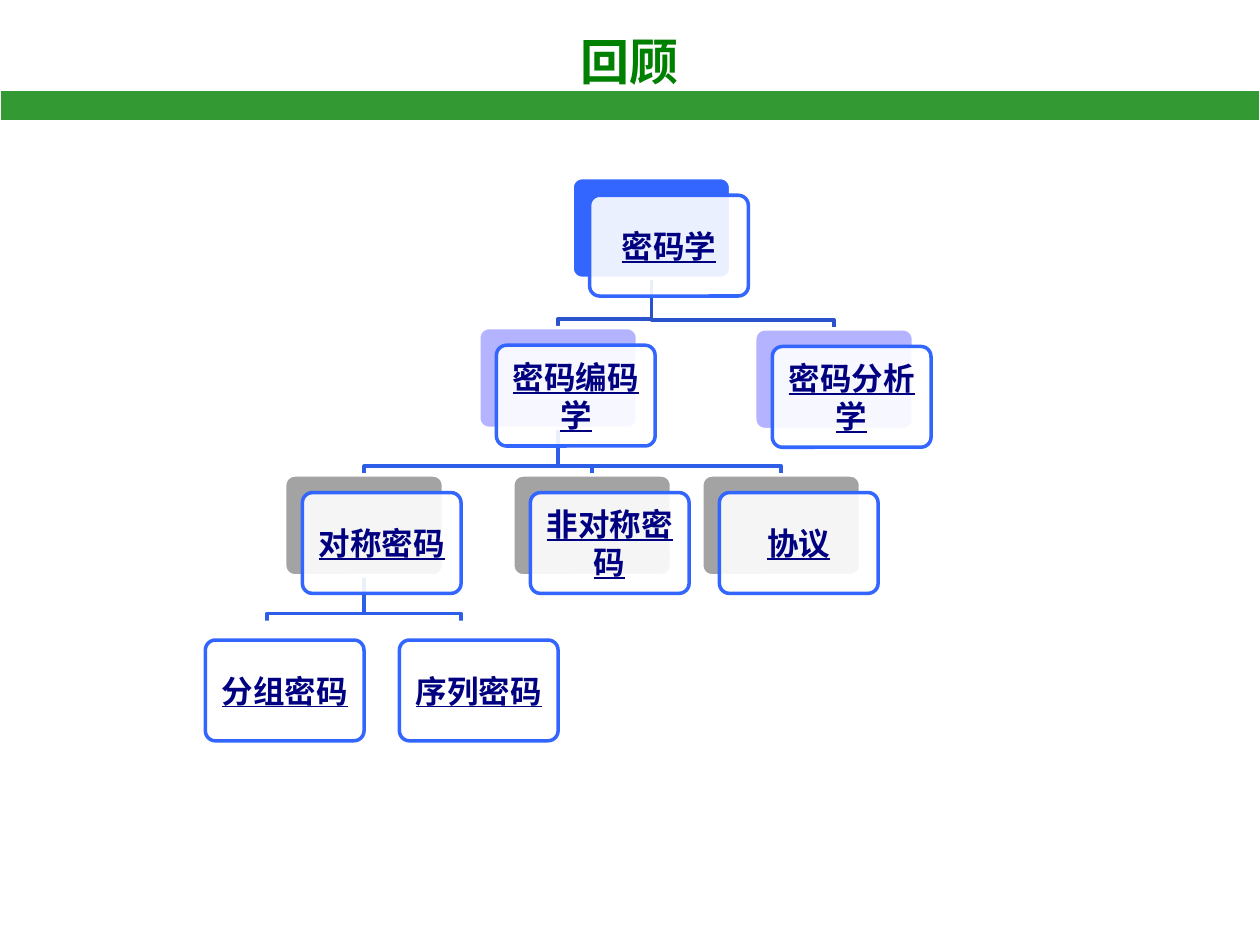
from lxml import etree
from pptx import Presentation
from pptx.dml.color import RGBColor
from pptx.enum.shapes import MSO_SHAPE
from pptx.enum.text import MSO_ANCHOR, PP_ALIGN
from pptx.oxml.ns import qn
from pptx.util import Inches, Pt

RECT = MSO_SHAPE.RECTANGLE
ROUNDED = MSO_SHAPE.ROUNDED_RECTANGLE
MIDDLE = MSO_ANCHOR.MIDDLE
CENTER = PP_ALIGN.CENTER

TITLE = "回顾"
BLUE, LILAC, GRAY, WHITE = "3366FF", "B3B3FF", "A3A3A3", "FFFFFF"
DARK_LINK, LIGHT_LINK = "2952CC", "2E5DE7"
CARD_W, CARD_H, OFFSET, INSET = 1.26, 0.8, 0.14, 0.07
ELBOW_RISE = 0.07

NODES = {
    "密码学": (4.54, 1.41, BLUE),
    "密码编码学": (3.8, 2.6, LILAC),
    "对称密码": (2.26, 3.77, GRAY),
    "分组密码": (1.49, 4.94, None),
    "序列密码": (3.03, 4.94, None),
    "非对称密码": (4.07, 3.77, GRAY),
    "协议": (5.57, 3.77, GRAY),
    "密码分析学": (5.99, 2.61, LILAC),
}
LINKS = [
    ("密码学", "密码编码学", DARK_LINK),
    ("密码编码学", "对称密码", LIGHT_LINK),
    ("对称密码", "分组密码", LIGHT_LINK),
    ("对称密码", "序列密码", LIGHT_LINK),
    ("密码编码学", "非对称密码", LIGHT_LINK),
    ("密码编码学", "协议", LIGHT_LINK),
    ("密码学", "密码分析学", DARK_LINK),
]


def color(value):
    return RGBColor.from_string(value)


def paint(shape, fill, line, width):
    shape.shadow.inherit = False
    if fill:
        shape.fill.solid()
        shape.fill.fore_color.rgb = color(fill)
    else:
        shape.fill.background()
    shape.line.color.rgb = color(line)
    shape.line.width = Pt(width)


def add_box(page, kind, place, fill, line, width):
    box = page.shapes.add_shape(kind, *map(Inches, place))
    paint(box, fill, line, width)
    if kind == ROUNDED:
        box.adjustments[0] = 0.1
    return box


def write(box, text, font, size, ink, underline=False):
    box.text_frame.word_wrap = True
    para = box.text_frame.paragraphs[0]
    para.alignment = CENTER
    span = para.add_run()
    span.text = text
    span.font.name = font
    span.font.size = Pt(size)
    span.font.bold = True
    span.font.underline = underline
    span.font.color.rgb = color(ink)
    latin = span.font._element.find(qn("a:latin"))
    east_asian = etree.Element(qn("a:ea"), typeface=font)
    latin.addnext(east_asian)


def add_link(page, parent, child, ink):
    parent_x, parent_y, _ = NODES[parent]
    child_x, child_y, _ = NODES[child]
    start_x, start_y = parent_x + CARD_W / 2, parent_y + CARD_H
    end_x = child_x + CARD_W / 2
    elbow_y = child_y - ELBOW_RISE
    points = [(start_x, elbow_y), (end_x, elbow_y), (end_x, child_y)]
    builder = page.shapes.build_freeform(Inches(start_x), Inches(start_y))
    builder.add_line_segments(
        [(Inches(x), Inches(y)) for x, y in points], close=False)
    paint(builder.convert_to_shape(), None, ink, 2)


def add_node(page, text, left, top, fill):
    add_box(page, ROUNDED, (left, top, CARD_W, CARD_H), fill, WHITE, 2)
    card = add_box(page, ROUNDED,
                   (left + OFFSET, top + OFFSET, CARD_W, CARD_H), WHITE, BLUE, 2)
    solid = card.fill._xPr.find(qn("a:solidFill"))
    etree.SubElement(solid[0], qn("a:alpha"), val="90000")
    frame = card.text_frame
    frame.vertical_anchor = MIDDLE
    frame.margin_left = frame.margin_right = Inches(INSET)
    frame.margin_top = frame.margin_bottom = Inches(INSET)
    write(card, text, "Arial", 18, "000080", True)


def main():
    deck = Presentation()
    deck.slide_width, deck.slide_height = Inches(10), Inches(7.5)
    page = deck.slides.add_slide(deck.slide_layouts[6])
    title = page.shapes.add_textbox(*map(Inches, (2.48, 0.2, 5.03, 0.57)))
    write(title, TITLE, "Noto Sans CJK SC", 28, "008000")
    add_box(page, RECT, (0, 0.72, 10, 0.24), "339933", WHITE, 0.75)
    for link in LINKS:
        add_link(page, *link)
    for text, place in NODES.items():
        add_node(page, text, *place)
    deck.save("out.pptx")


if __name__ == "__main__":
    main()
